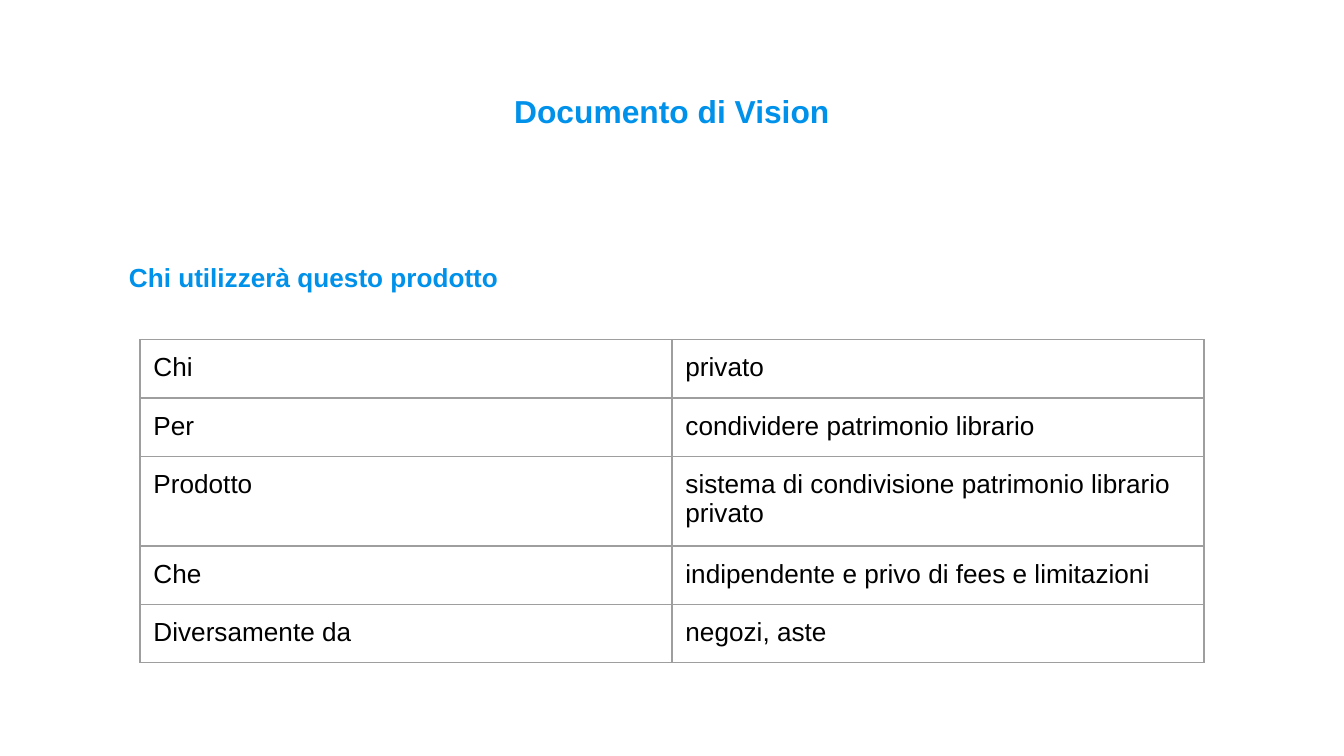
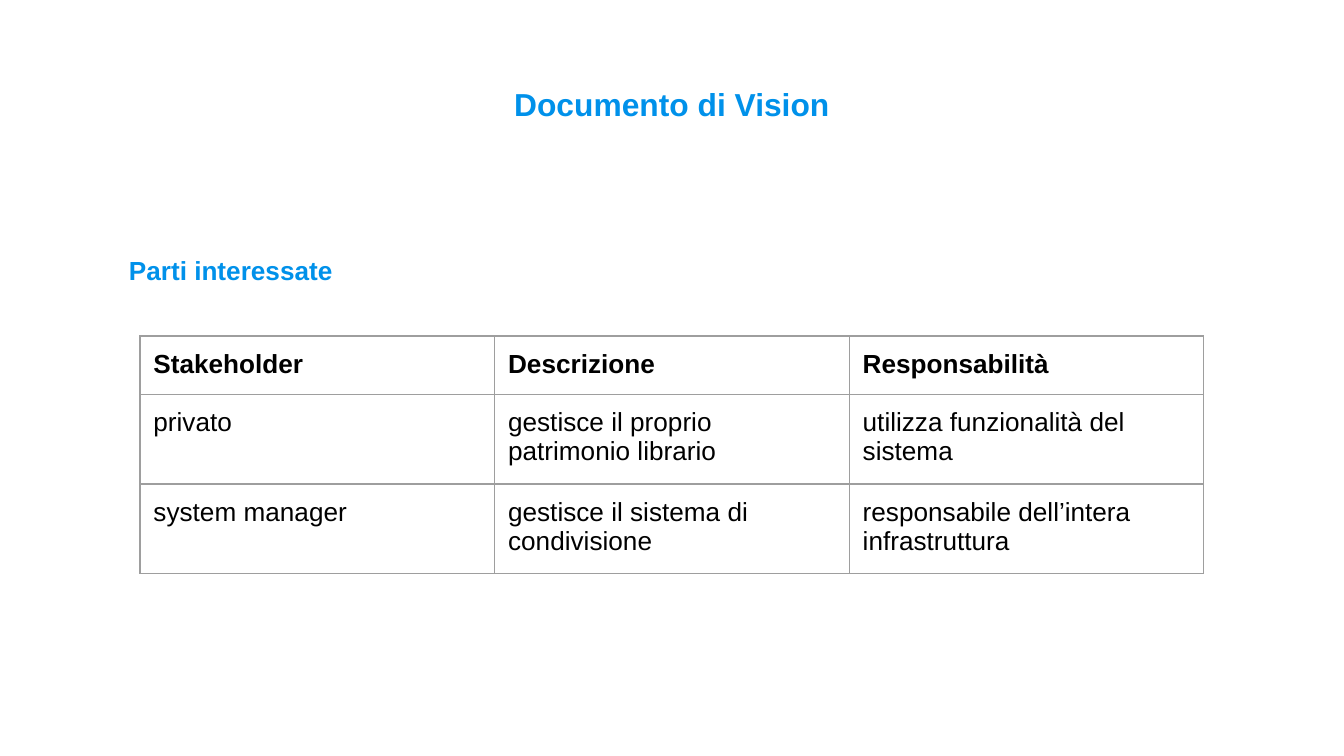
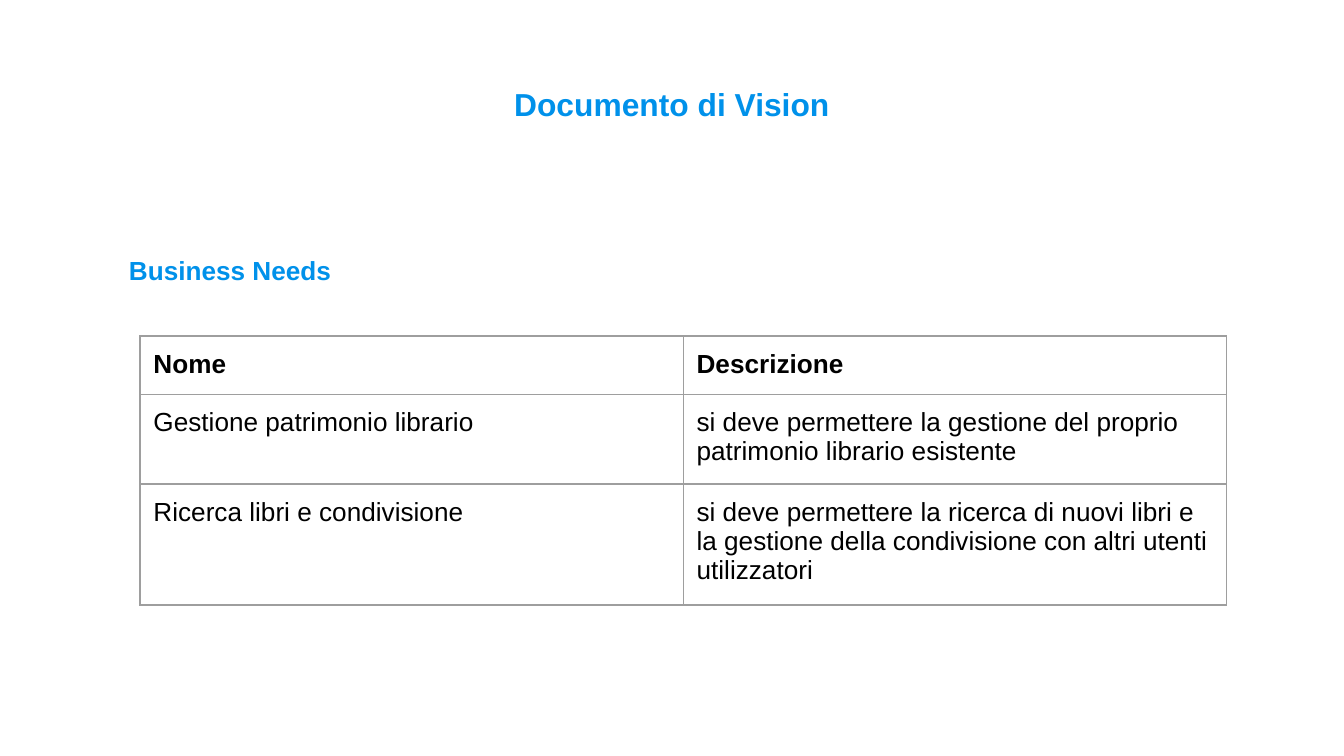
from dataclasses import dataclass
from lxml.etree import SubElement as Sub
from pptx import Presentation
from pptx.dml.color import RGBColor as RGB
from pptx.enum.text import MSO_ANCHOR as Anchor, PP_ALIGN as Align
from pptx.oxml.ns import qn
from pptx.util import Pt


@dataclass(frozen=True)
class Theme:
    font: str = "Arial"
    blue: str = "0091EA"
    black: str = "000000"
    grey: str = "9E9E9E"
    title: float = 17
    body: float = 14
    inset: float = 7.2
    border: float = 0.75
    gap: float = 70.5


class Deck:
    def __init__(self, theme):
        self.theme = theme
        self.prs = Presentation()
        self.prs.slide_width = Pt(720)
        self.prs.slide_height = Pt(405)
        self.slide = None

    def page(self):
        self.slide = self.prs.slides.add_slide(self.prs.slide_layouts[6])

    def style(self, para, size, color, bold):
        for run in para.runs:
            font = run.font
            font.name = self.theme.font
            font.size = Pt(size)
            font.bold = bold
            font.color.rgb = RGB.from_string(color)

    def pad(self, item):
        inset = Pt(self.theme.inset)
        item.margin_left = item.margin_right = inset
        item.margin_top = item.margin_bottom = inset

    def heads(self, title, topic, drop):
        look = self.theme
        frame = self.slide.shapes.add_textbox(Pt(62), Pt(24.5), Pt(596), Pt(353.5)).text_frame
        frame.word_wrap = True
        frame.vertical_anchor = Anchor.TOP
        self.pad(frame)
        frame.margin_top = Pt(drop)
        frame.text = f"{title}\n{topic}"
        first, second = frame.paragraphs
        first.alignment = Align.CENTER
        second.alignment = Align.LEFT
        second.space_before = Pt(look.gap)
        self.style(first, look.title, look.blue, True)
        self.style(second, look.body, look.blue, True)

    def edge(self, cell):
        props = cell._tc.get_or_add_tcPr()
        for spot, side in enumerate(("lnL", "lnR", "lnT", "lnB")):
            line = Sub(props, qn(f"a:{side}"), w=str(Pt(self.theme.border)))
            fill = Sub(line, qn("a:solidFill"))
            Sub(fill, qn("a:srgbClr"), val=self.theme.grey)
            props.insert(spot, line)

    def grid(self, rows, top, width, header):
        look = self.theme
        count = len(rows[0])
        high = 30
        table = self.slide.shapes.add_table(
            len(rows), count, Pt(75), Pt(top), Pt(width * count), Pt(high * len(rows))
        ).table
        table.first_row = header
        table.horz_banding = False
        for row, texts in zip(table.rows, rows):
            row.height = Pt(high)
            bold = header and texts is rows[0]
            for cell, text in zip(row.cells, texts):
                cell.text_frame.text = text
                cell.fill.background()
                cell.vertical_anchor = Anchor.TOP
                self.pad(cell)
                self.edge(cell)
                self.style(cell.text_frame.paragraphs[0], look.body, look.black, bold)


USERS = [
    ("Chi", "privato"),
    ("Per", "condividere patrimonio librario"),
    ("Prodotto", "sistema di condivisione patrimonio librario privato"),
    ("Che", "indipendente e privo di fees e limitazioni"),
    ("Diversamente da", "negozi, aste"),
]
PARTIES = [
    ("Stakeholder", "Descrizione", "Responsabilità"),
    ("privato", "gestisce il proprio patrimonio librario", "utilizza funzionalità del sistema"),
    ("system manager", "gestisce il sistema di condivisione",
     "responsabile dell’intera infrastruttura"),
]
NEEDS = [
    ("Nome", "Descrizione"),
    ("Gestione patrimonio librario",
     "si deve permettere la gestione del proprio patrimonio librario esistente"),
    ("Ricerca libri e condivisione",
     "si deve permettere la ricerca di nuovi libri e la gestione della condivisione "
     "con altri utenti utilizzatori"),
]
PAGES = [
    ("Chi utilizzerà questo prodotto", 24.5, USERS, 182, 285, False),
    ("Parti interessate", 21, PARTIES, 180, 190, True),
    ("Business Needs", 21, NEEDS, 180, 291, True),
]


def main():
    deck = Deck(Theme())
    for topic, drop, rows, top, width, header in PAGES:
        deck.page()
        deck.heads("Documento di Vision", topic, drop)
        deck.grid(rows, top, width, header)
    deck.prs.save("out.pptx")


if __name__ == "__main__":
    main()
